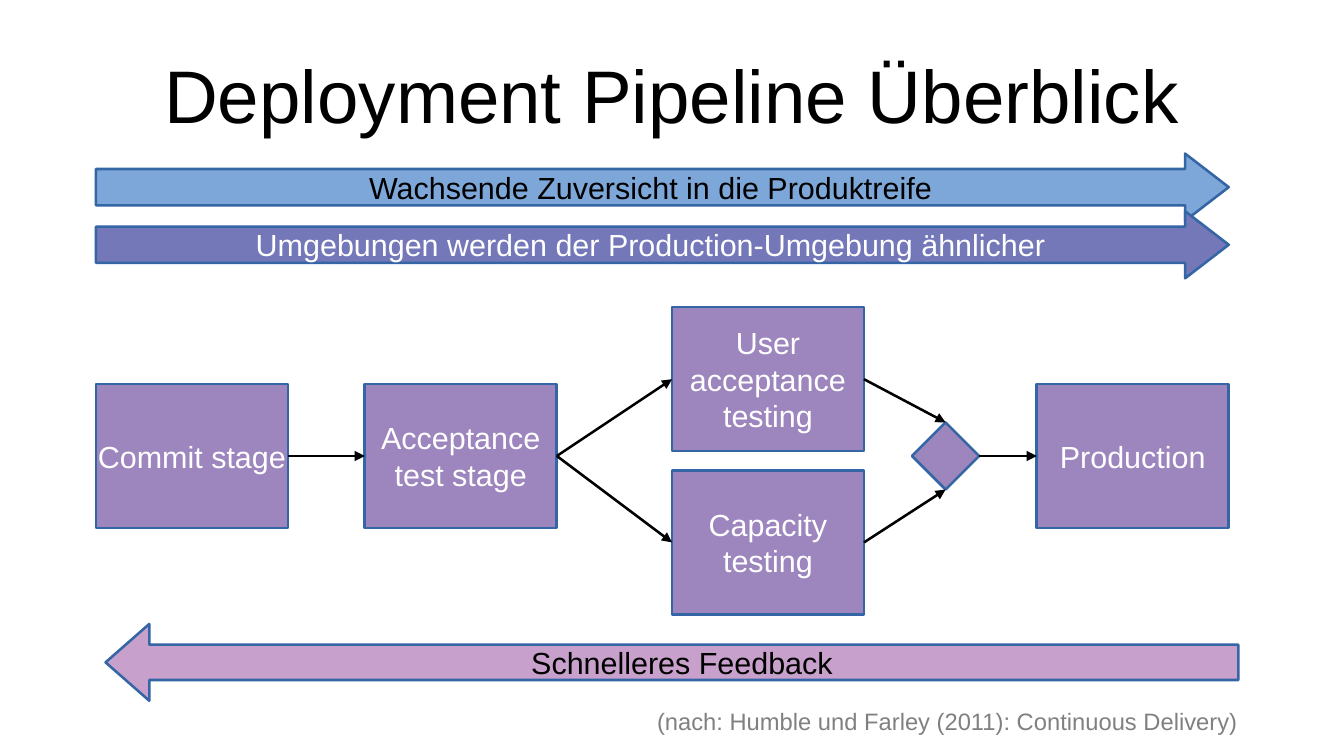
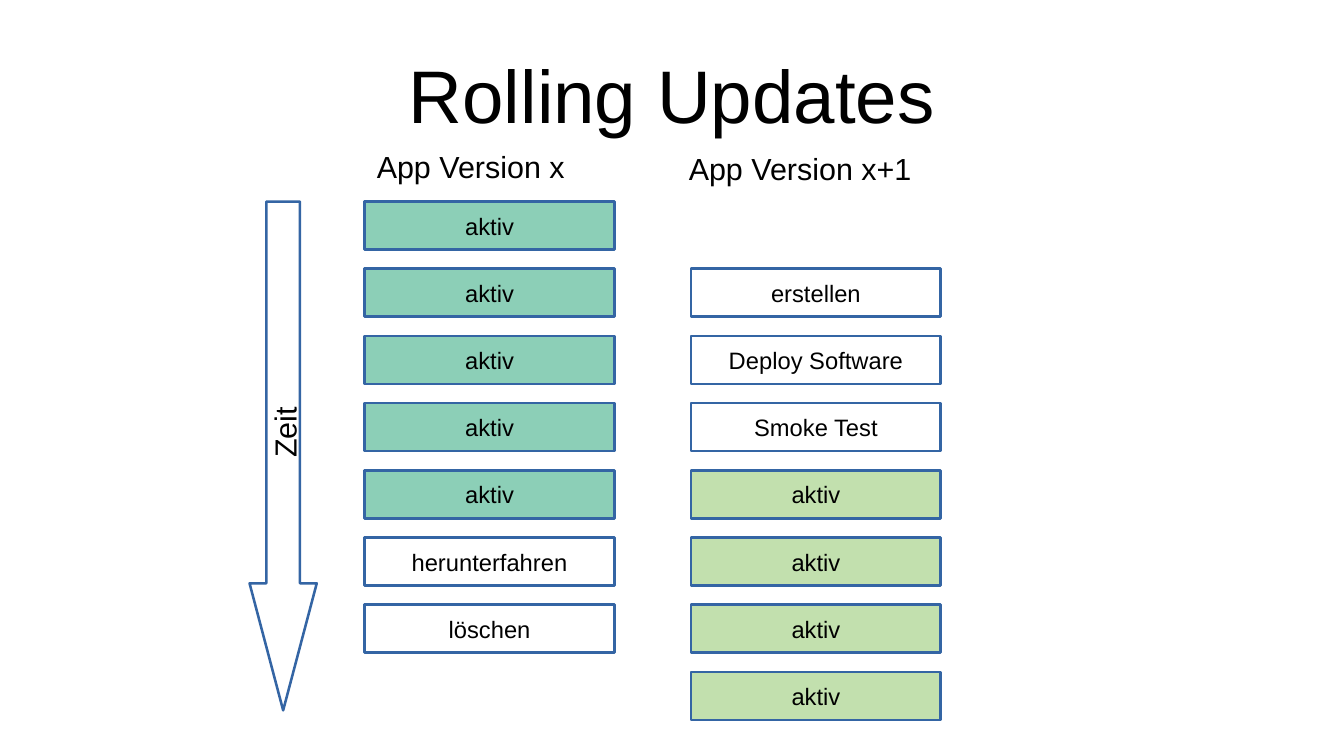
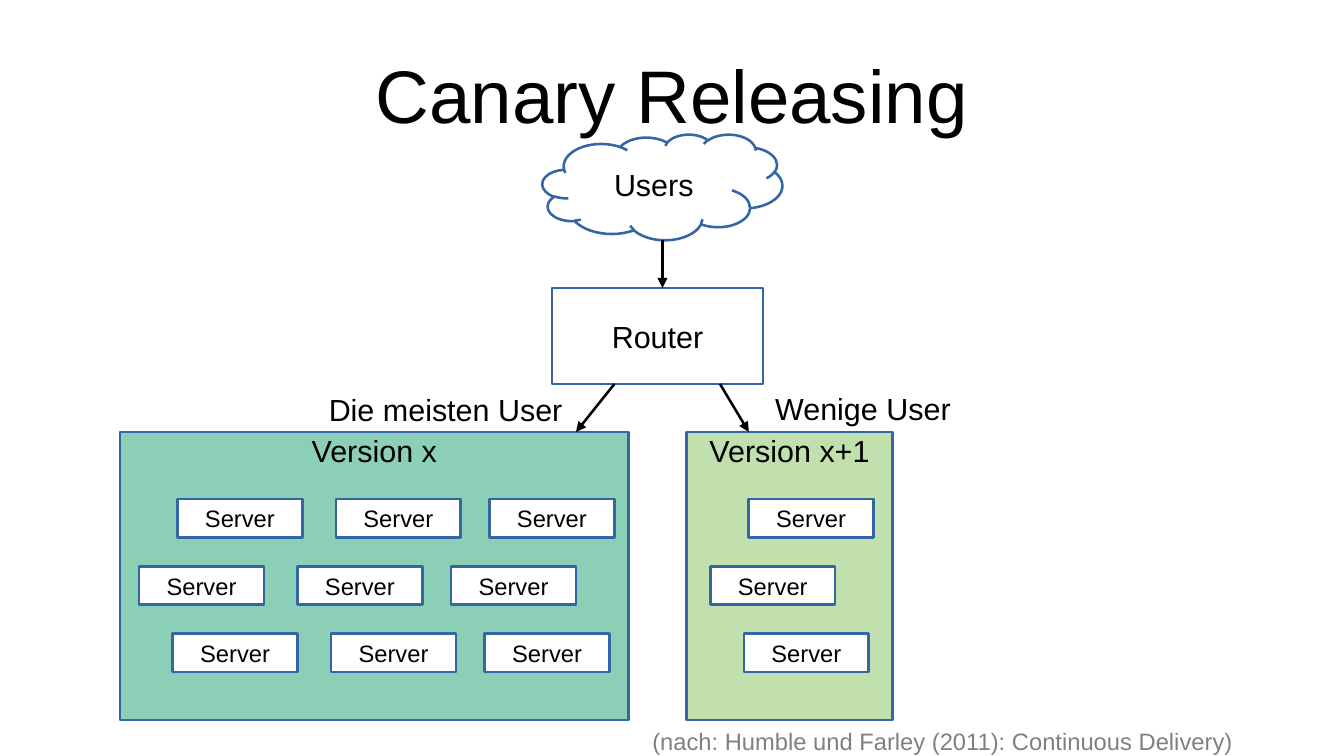
"""Builds three slides on deployment pipelines, rolling updates and canary releasing."""
from lxml.etree import SubElement
from pptx import Presentation
from pptx.dml.color import RGBColor
from pptx.enum.shapes import MSO_CONNECTOR, MSO_SHAPE
from pptx.enum.text import MSO_ANCHOR, PP_ALIGN
from pptx.oxml.ns import qn
from pptx.util import Inches, Mm, Pt

FONT = "Arial"
BLACK, WHITE, GREY, BLUE = "000000", "FFFFFF", "808080", "3465A4"
PURPLE, TEAL, LIME = "9D85BE", "8CCFB7", "C2E0AE"
SOURCE = "(nach: Humble und Farley (2011): Continuous Delivery)"
RECT = MSO_SHAPE.RECTANGLE

prs = Presentation()
prs.slide_width, prs.slide_height = Mm(280), Mm(157.5)
COL = ROW = prs.slide_width / 280
rgb = RGBColor.from_string


def box(s, kind, at, text="", fill=None, size=18, color=BLACK, align=PP_ALIGN.CENTER):
    x, y, w, h = at
    place = int(x * COL), int(y * ROW), int(w * COL), int(h * ROW)
    if kind is None:
        sp = s.shapes.add_textbox(*place)
    else:
        sp = s.shapes.add_shape(kind, *place)
        sp.shadow.inherit = False
        sp.line.color.rgb = rgb(BLUE)
        sp.line.width = Pt(1.5)
        if fill:
            sp.fill.solid()
            sp.fill.fore_color.rgb = rgb(fill)
        else:
            sp.fill.background()
    tf = sp.text_frame
    tf.word_wrap = kind is None
    if kind is not None:
        tf.vertical_anchor = MSO_ANCHOR.MIDDLE
        tf.margin_left = tf.margin_right = Inches(0.11)
        tf.margin_top = tf.margin_bottom = Inches(0.06)
    if text:
        tf.text = text
    for p in tf.paragraphs:
        p.alignment = align
        for r in p.runs:
            r.font.name, r.font.size = FONT, Pt(size)
            r.font.color.rgb = rgb(color)
    return sp


def arrow(s, x1, y1, x2, y2):
    c = s.shapes.add_connector(MSO_CONNECTOR.STRAIGHT, int(x1 * COL), int(y1 * ROW),
                               int(x2 * COL), int(y2 * ROW))
    c.line.color.rgb = rgb(BLACK)
    c.line.width = Pt(1.5)
    SubElement(c.line._get_or_add_ln(), qn("a:tailEnd"), type="triangle")
    SubElement(c._element.spPr, qn("a:effectLst"))


slides = []
for title in ("Deployment Pipeline Überblick", "Rolling Updates", "Canary Releasing"):
    s = prs.slides.add_slide(prs.slide_layouts[6])
    sp = box(s, None, (14, 6.3, 252, 26.4), title, size=44)
    tf = sp.text_frame
    tf.vertical_anchor = MSO_ANCHOR.MIDDLE
    tf.margin_left = tf.margin_right = tf.margin_top = tf.margin_bottom = 0
    slides.append(s)
pipeline, rolling, canary = slides

for s, x, y in ((pipeline, 134.4, 146), (canary, 133.4, 150.1)):
    box(s, None, (x, y, 128, 8), SOURCE, size=14, color=GREY, align=PP_ALIGN.LEFT)

for x, y, text in (
    (20, 80, "Commit stage"),
    (76, 80, "Acceptance\ntest stage"),
    (140, 64, "User\nacceptance\ntesting"),
    (140, 98, "Capacity\ntesting"),
    (216, 80, "Production"),
):
    box(pipeline, RECT, (x, y, 40, 30), text, PURPLE, color=WHITE)
box(pipeline, MSO_SHAPE.DIAMOND, (190, 88, 14, 14), fill=PURPLE)

for kind, x, y, h, adj, text, fill, color in (
    (MSO_SHAPE.RIGHT_ARROW, 20, 32, 14, (0.54, 0.65),
     "Wachsende Zuversicht in die Produktreife", "7DA7D8", BLACK),
    (MSO_SHAPE.RIGHT_ARROW, 20, 44, 14, (0.54, 0.65),
     "Umgebungen werden der Production-Umgebung ähnlicher", "7477B8", WHITE),
    (MSO_SHAPE.LEFT_ARROW, 22, 130, 16, (0.46, 0.57),
     "Schnelleres Feedback", "C7A0CB", BLACK),
):
    sp = box(pipeline, kind, (x, y, 236, h), text, fill, color=color)
    sp.adjustments[0], sp.adjustments[1] = adj

for ends in (
    (60, 95, 76, 95),
    (116, 95, 140, 79),
    (116, 95, 140, 113),
    (180, 79, 197, 88),
    (180, 113, 197, 102),
    (204, 95, 216, 95),
):
    arrow(pipeline, *ends)

old_steps = ["aktiv"] * 5 + ["herunterfahren", "löschen"]
new_steps = ["erstellen", "Deploy Software", "Smoke Test"] + ["aktiv"] * 4
for x, first, steps, active in ((76, 0, old_steps, TEAL), (144, 1, new_steps, LIME)):
    for i, step in enumerate(steps, first):
        fill = active if step == "aktiv" else WHITE
        box(rolling, RECT, (x, 42 + 14 * i, 52, 10), step, fill, size=14)

sp = box(rolling, MSO_SHAPE.DOWN_ARROW, (52, 42, 14, 106))
sp.adjustments[0], sp.adjustments[1] = 0.5, 1.89
sp = box(rolling, None, (50, 85.3, 18, 9.6), "Zeit")
sp.rotation = 270

box(canary, MSO_SHAPE.CLOUD, (113, 28, 50, 22), "Users")
box(canary, RECT, (115, 60, 44, 20), "Router")
for x, w, text, fill in ((25, 106, "Version x", TEAL), (143, 43, "Version x+1", LIME)):
    sp = box(canary, RECT, (x, 90, w, 60), text, fill)
    sp.text_frame.vertical_anchor = MSO_ANCHOR.TOP
    sp.text_frame.margin_top = 0

for i, start in enumerate((37, 29, 36)):
    for offset in (0, 33, 65, 119):
        box(canary, RECT, (start + offset, 104 + 14 * i, 26, 8), "Server", WHITE, size=14)

for ends in ((138, 50, 138, 60), (128, 80, 120, 90), (150, 80, 156, 90)):
    arrow(canary, *ends)

for s, x, y, text in (
    (rolling, 76, 29.5, "App Version x"),
    (rolling, 141, 30, "App Version x+1"),
    (canary, 66, 80.3, "Die meisten User"),
    (canary, 159, 80, "Wenige User"),
):
    box(s, None, (x, y, 62, 9.6), text, align=PP_ALIGN.LEFT)

prs.save("out.pptx")
